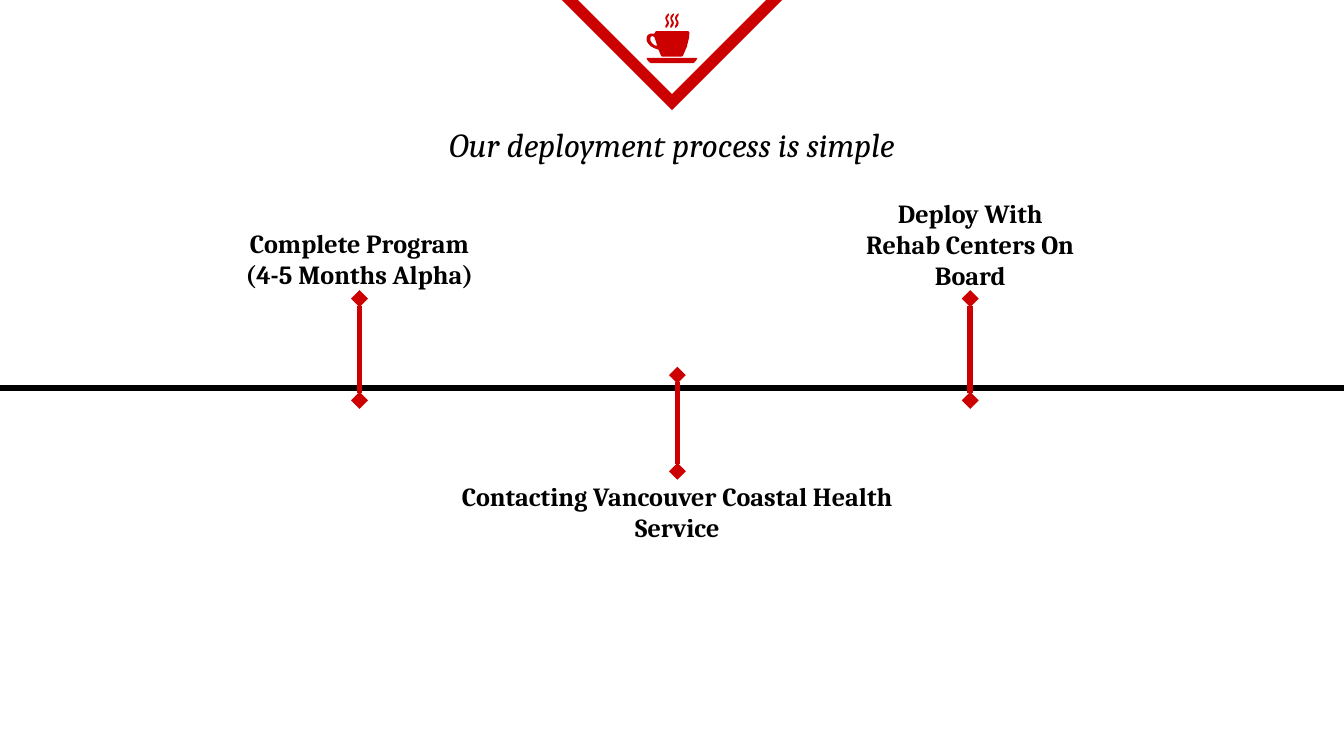
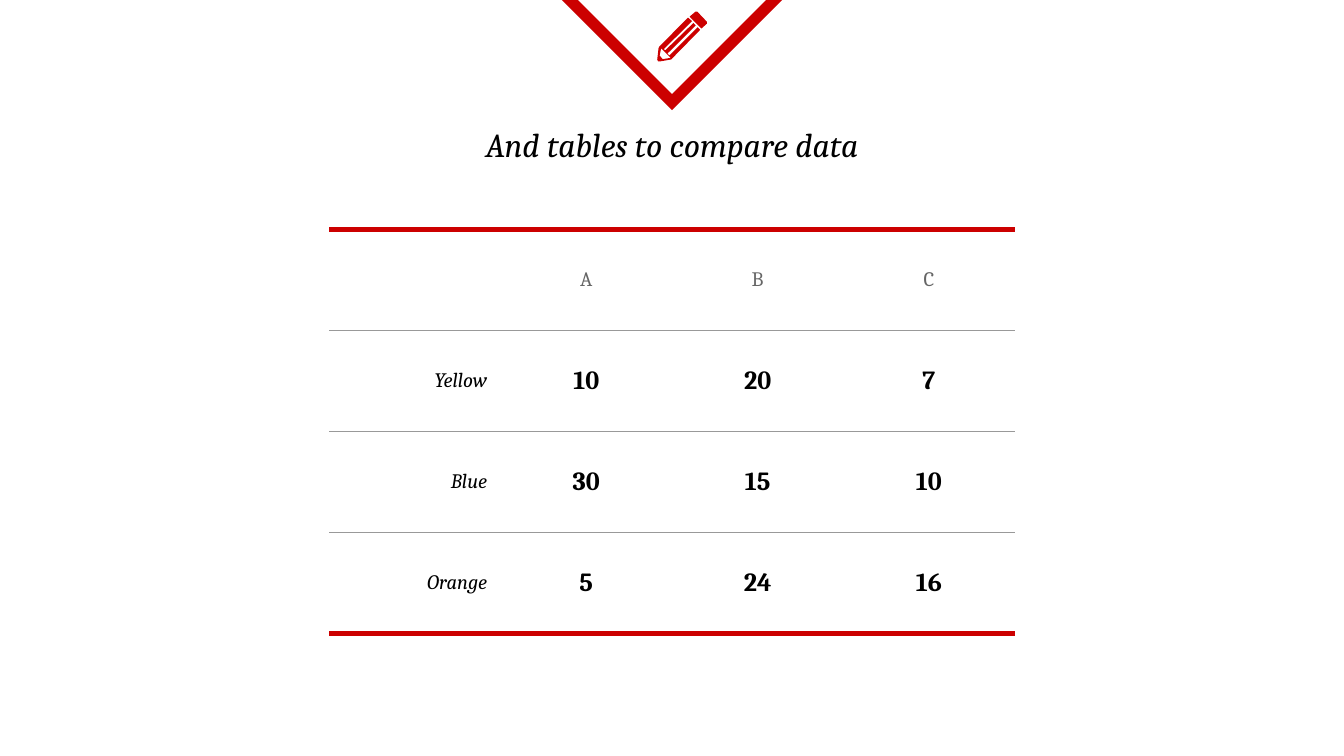
from lxml import etree
from pptx import Presentation
from pptx.dml.color import RGBColor
from pptx.enum import shapes, text
from pptx.oxml import ns
from pptx.util import Pt

RED, BLACK, GREY, RULE = "CC0000", "000000", "666666", "999999"
FONT = "Cambria"
WIDTH, HEIGHT = 720, 405
CENTER, RIGHT = text.PP_ALIGN.CENTER, text.PP_ALIGN.RIGHT
TOP, MIDDLE = text.MSO_ANCHOR.TOP, text.MSO_ANCHOR.MIDDLE


def rgb(value):
    return RGBColor.from_string(value)


def sub(parent, tag, **attrs):
    return etree.SubElement(parent, ns.qn(tag), attrs)


class Deck:
    """Holds the shared style and the current slide."""

    def __init__(self):
        self.prs = Presentation()
        self.prs.slide_width, self.prs.slide_height = Pt(WIDTH), Pt(HEIGHT)
        self.s = None

    def slide(self, title):
        self.s = self.prs.slides.add_slide(self.prs.slide_layouts[6])
        self.badge()
        self.label(81.4, 59, 557.2, 42.5, [title], anchor=TOP, size=18, italic=True)

    def badge(self):
        """Red chevron hanging from the top edge."""
        sp = self.s.shapes.add_shape(shapes.MSO_SHAPE.ISOSCELES_TRIANGLE,
                                     Pt(301), Pt(-4.3), Pt(118), Pt(59))
        sp.rotation = 180
        sp.shadow.inherit = False
        sp.fill.background()
        sp.line.color.rgb = rgb(RED)
        sp.line.width = Pt(6)
        sub(sp.line._get_or_add_ln(), "a:miter", lim="800000")

    def add_text(self, p, content, align=CENTER, color=BLACK, **style):
        p.alignment = align
        r = p.add_run()
        r.text = content
        r.font.color.rgb = rgb(color)
        style["size"] = Pt(style["size"])
        for key, value in {"name": FONT, "bold": False, "italic": False, **style}.items():
            setattr(r.font, key, value)

    def label(self, x, y, w, h, lines, anchor=MIDDLE, **style):
        tf = self.s.shapes.add_textbox(Pt(x), Pt(y), Pt(w), Pt(h)).text_frame
        tf.word_wrap = True
        tf.vertical_anchor = anchor
        tf.margin_left = tf.margin_right = tf.margin_top = tf.margin_bottom = Pt(7.2)
        for i, line in enumerate(lines):
            p = tf.add_paragraph() if i else tf.paragraphs[0]
            self.add_text(p, line, **style)

    def line(self, x1, y1, x2, y2, color, ends=None):
        c = self.s.shapes.add_connector(shapes.MSO_CONNECTOR.STRAIGHT,
                                        Pt(x1), Pt(y1), Pt(x2), Pt(y2))
        c.line.color.rgb = rgb(color)
        c.line.width = Pt(3)
        if ends:
            for tag in ("a:headEnd", "a:tailEnd"):
                sub(c.line._get_or_add_ln(), tag, type=ends)
        sub(c._element.spPr, "a:effectLst")

    def outline(self, *contours, dx=0):
        """Filled red shape; later contours cut holes."""
        builder = None
        for contour in contours:
            pts = [(Pt(x + dx), Pt(y)) for x, y in contour]
            if builder is None:
                builder = self.s.shapes.build_freeform(*pts[0], scale=1.0)
            else:
                builder.move_to(*pts[0])
            builder.add_line_segments(pts[1:], close=True)
        sp = builder.convert_to_shape()
        sp.shadow.inherit = False
        sp.fill.solid()
        sp.fill.fore_color.rgb = rgb(RED)
        sp.line.fill.background()

    def border(self, cell, side, color=None, width=0.75):
        tcPr = cell._tc.get_or_add_tcPr()
        if color is None:
            sub(sub(tcPr, "a:" + side, w="0"), "a:noFill")
            return
        ln = sub(tcPr, "a:" + side, w=str(Pt(width)))
        sub(sub(ln, "a:solidFill"), "a:srgbClr", val=color)

    def table(self, x, y, col_w, row_h, rows):
        n, m = len(rows), len(rows[0])
        tbl = self.s.shapes.add_table(n, m, Pt(x), Pt(y),
                                      Pt(col_w * m), Pt(row_h * n)).table
        tbl.first_row = tbl.horz_banding = False
        for col in tbl.columns:
            col.width = Pt(col_w)
        for i, row in enumerate(rows):
            tbl.rows[i].height = Pt(row_h)
            for j, value in enumerate(row):
                cell = tbl.cell(i, j)
                self.border(cell, "lnL")
                self.border(cell, "lnR")
                self.border(cell, "lnT", *((RULE,) if i else (RED, 3)))
                self.border(cell, "lnB", *((RULE,) if i < n - 1 else (RED, 3)))
                cell.fill.background()
                cell.vertical_anchor = MIDDLE
                cell.margin_left = cell.margin_right = Pt(7.2)
                cell.margin_top = cell.margin_bottom = Pt(5)
                if i == 0:
                    style = {"size": 11, "color": GREY}
                elif j == 0:
                    style = {"size": 11, "italic": True, "align": RIGHT}
                else:
                    style = {"size": 14, "bold": True}
                if value:
                    self.add_text(cell.text_frame.paragraphs[0], value, **style)


# Icon outlines, in points
CUP = [(351.4, 16.6), (350.6, 18), (348.5, 18), (347, 18.7), (346.4, 20.2),
       (346.4, 21.6), (347, 23), (348.5, 24.7), (350.6, 25.9), (352.8, 26.6),
       (354.2, 30), (354.8, 30.3), (365.2, 30.3), (365.8, 30), (367.9, 25.2),
       (369.1, 20.5), (369.4, 17.3), (368.6, 16.6)]
CUP_HANDLE = [(349.9, 19.4), (350.6, 20), (351.4, 22.3), (352.1, 24.5),
              (350.6, 24.3), (349.2, 23), (348.4, 21.6), (348.4, 20.2), (349.2, 19.4)]
SAUCER = [(346.4, 31), (373.6, 31), (373, 32.4), (371.5, 33.8),
          (348.5, 33.8), (347, 32.4)]
STEAM = [(358.2, 7.2), (357.2, 8), (356.5, 9.2), (356.5, 10.2), (357.1, 11.5),
         (357.3, 12.3), (356.9, 13.2), (356.4, 14), (356.7, 15), (357.3, 14.6),
         (358, 13.6), (358.4, 12.4), (358.1, 11.2), (357.3, 10.1), (357.8, 9),
         (358.4, 8), (358.3, 7.2)]
ERASER = [(372.6, 6.3), (369.4, 9), (375.8, 15.3), (378.7, 12.7),
          (378.7, 11.7), (373.6, 6.3)]
PENCIL = [(368.6, 9.4), (353.2, 25), (352.8, 25.9), (352.1, 31.9), (352.5, 32.8),
          (353.5, 32.9), (359.5, 31.9), (360, 31.4), (375.1, 16), (373.7, 14.6),
          (358.6, 29.7), (357.6, 28.7), (372.7, 13.6), (371.5, 12.3),
          (356.4, 27), (355.6, 26.3), (370.8, 11.3)]
PENCIL_TIP = [(354.2, 25.9), (359.3, 31), (355, 31.7), (353.4, 29.7)]


def process_slide(d):
    d.slide("Our deployment process is simple")

    # Coffee cup
    d.outline(CUP, CUP_HANDLE)
    d.outline(SAUCER)
    for i in range(3):
        d.outline(STEAM, dx=2.6 * i)

    # Timeline with its steps: marker x, marker ends, label box, label lines
    d.line(0, 208, WIDTH, 208, BLACK)
    above, below = (214.5, 160), (252.5, 201)
    steps = [
        (192.6, above, (106.6, 117.4, 172, 42.5),
         ["Complete Program", "(4-5 Months Alpha)"]),
        (362.9, below, (218.9, 252.7, 288, 42.5),
         ["Contacting Vancouver Coastal Health Service"]),
        (519.8, above, (454.3, 117.4, 131, 26.6),
         ["Deploy With Rehab Centers On Board"]),
    ]
    for x, (start, end), box, lines in steps:
        d.line(x, start, x, end, RED, ends="diamond")
        d.label(*box, lines, size=14, bold=True)


def table_slide(d):
    d.slide("And tables to compare data")
    d.table(176.4, 123, 91.8, 54.1, [
        ["", "A", "B", "C"],
        ["Yellow", "10", "20", "7"],
        ["Blue", "30", "15", "10"],
        ["Orange", "5", "24", "16"],
    ])

    # Pencil
    d.outline(ERASER)
    d.outline(PENCIL, PENCIL_TIP)


def main():
    d = Deck()
    process_slide(d)
    table_slide(d)
    d.prs.save("out.pptx")


if __name__ == "__main__":
    main()
